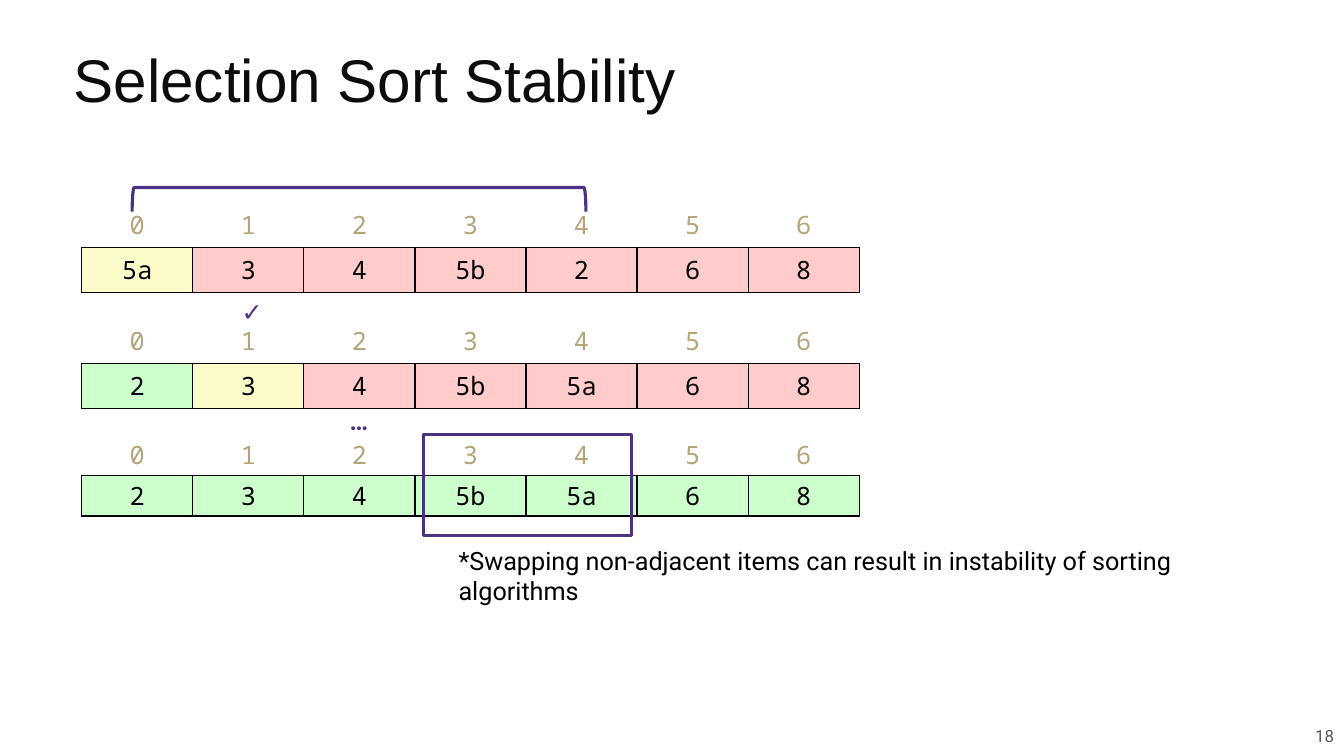
"""Build a slide that shows why selection sort is not stable."""
from dataclasses import dataclass

from lxml import etree
from pptx import Presentation
from pptx import util as u
from pptx.dml import color
from pptx.enum import shapes, text
from pptx.oxml import ns


@dataclass(frozen=True)
class Theme:
    title_font: str = "Arial"
    body_font: str = "Roboto"
    code_font: str = "Noto Sans Mono"
    title_size: float = 43
    body_size: float = 18
    number_size: float = 12
    outline: float = 2.25
    title: str = "0C0C0C"
    ink: str = "000000"
    paper: str = "FFFFFF"
    accent: str = "4C3282"
    index: str = "B6A479"
    number: str = "595959"
    current: str = "FBFCCA"
    unsorted: str = "FFCCCB"
    sorted: str = "CCFFCC"


class SlideBuilder:
    """Place styled elements on one slide by percentages of its size."""

    def __init__(self, presentation, theme):
        self.theme = theme
        self.width = presentation.slide_width
        self.height = presentation.slide_height
        self.slide = presentation.slides.add_slide(presentation.slide_layouts[6])

    def place(self, left, top, width, height):
        return (
            u.Emu(round(self.width * left / 100)),
            u.Emu(round(self.height * top / 100)),
            u.Emu(round(self.width * width / 100)),
            u.Emu(round(self.height * height / 100)),
        )

    def add_words(self, paragraph, words, size, font, ink, bold=False):
        run = paragraph.add_run()
        run.text = words
        run.font.size = u.Pt(size)
        run.font.name = font
        run.font.bold = bold
        run.font.color.rgb = color.RGBColor.from_string(ink)

    def label(self, box, words, size=None, font=None, ink=None, bold=False,
              align=text.PP_ALIGN.LEFT, anchor=text.MSO_ANCHOR.TOP, spacing=1.0):
        frame = self.slide.shapes.add_textbox(*self.place(*box)).text_frame
        frame.word_wrap = True
        frame.vertical_anchor = anchor
        paragraph = frame.paragraphs[0]
        paragraph.alignment = align
        paragraph.line_spacing = spacing
        theme = self.theme
        self.add_words(paragraph, words, size or theme.body_size,
                       font or theme.body_font, ink or theme.ink, bold)

    def outline(self, kind, box, rotation=0):
        shape = self.slide.shapes.add_shape(kind, *self.place(*box))
        shape.rotation = rotation
        shape.shadow.inherit = False
        shape.fill.background()
        shape.line.color.rgb = color.RGBColor.from_string(self.theme.accent)
        shape.line.width = u.Pt(self.theme.outline)

    def borders(self, cell, **sides):
        properties = cell._tc.get_or_add_tcPr()
        for position, side in enumerate("LRTB"):
            line = etree.Element(ns.qn(f"a:ln{side}"), w=str(u.Pt(1)))
            fill = etree.SubElement(line, ns.qn("a:solidFill"))
            etree.SubElement(fill, ns.qn("a:srgbClr"), val=sides[side])
            properties.insert(position, line)

    def cell(self, cell, words, ink, fill, edge):
        cell.margin_top = cell.margin_bottom = u.Inches(0.03)
        cell.vertical_anchor = text.MSO_ANCHOR.MIDDLE
        cell.fill.solid()
        cell.fill.fore_color.rgb = color.RGBColor.from_string(fill)
        self.borders(cell, L=edge, R=edge, T=edge, B=self.theme.ink)
        paragraph = cell.text_frame.paragraphs[0]
        paragraph.alignment = text.PP_ALIGN.CENTER
        self.add_words(paragraph, words, self.theme.body_size,
                       self.theme.code_font, ink)

    def array(self, box, values, fills):
        table = self.slide.shapes.add_table(2, len(values), *self.place(*box)).table
        table.first_row = table.horz_banding = False
        theme = self.theme
        for column, (value, fill) in enumerate(zip(values, fills)):
            self.cell(table.cell(0, column), str(column), theme.index,
                      theme.paper, theme.paper)
            self.cell(table.cell(1, column), value, theme.ink, fill, theme.ink)


def main():
    presentation = Presentation()
    presentation.slide_width = u.Inches(13.33)
    presentation.slide_height = u.Inches(7.5)
    theme = Theme()
    builder = SlideBuilder(presentation, theme)

    builder.label((64.89, 94.67, 35.11, 5.33), "18", theme.number_size,
                  ink=theme.number, align=text.PP_ALIGN.RIGHT,
                  anchor=text.MSO_ANCHOR.MIDDLE)
    builder.label((4.73, 3.87, 91.72, 14.8), "Selection Sort Stability",
                  theme.title_size, theme.title_font, theme.title,
                  anchor=text.MSO_ANCHOR.MIDDLE, spacing=0.8)

    steps = [
        ("5a 3 4 5b 2 6 8", 0, 1, 11.87),
        ("2 3 4 5b 5a 6 8", 1, 1, 11.87),
        ("2 3 4 5b 5a 6 8", 7, 0, 10.8),
    ]
    for step, (values, done, current, height) in enumerate(steps):
        values = values.split()
        fills = ([theme.sorted] * done + [theme.current] * current
                 + [theme.unsorted] * (len(values) - done - current))
        builder.array((6.08, 26.8 + 15.33 * step, 57.85, height), values, fills)

    builder.outline(shapes.MSO_SHAPE.LEFT_BRACKET, (25.81, -3.6, 1.8, 60), 90)
    builder.label((17.25, 38.53, 2.93, 5.33), "✓", ink=theme.accent, bold=True)
    builder.label((25.28, 52.93, 2.85, 5.33), "…", ink=theme.accent, bold=True)
    builder.label((33.38, 71.47, 62.57, 9.33),
                  "*Swapping non-adjacent items can result in instability "
                  "of sorting algorithms")
    builder.outline(shapes.MSO_SHAPE.RECTANGLE, (31.51, 57.47, 15.45, 13.33))
    presentation.save("out.pptx")


if __name__ == "__main__":
    main()
